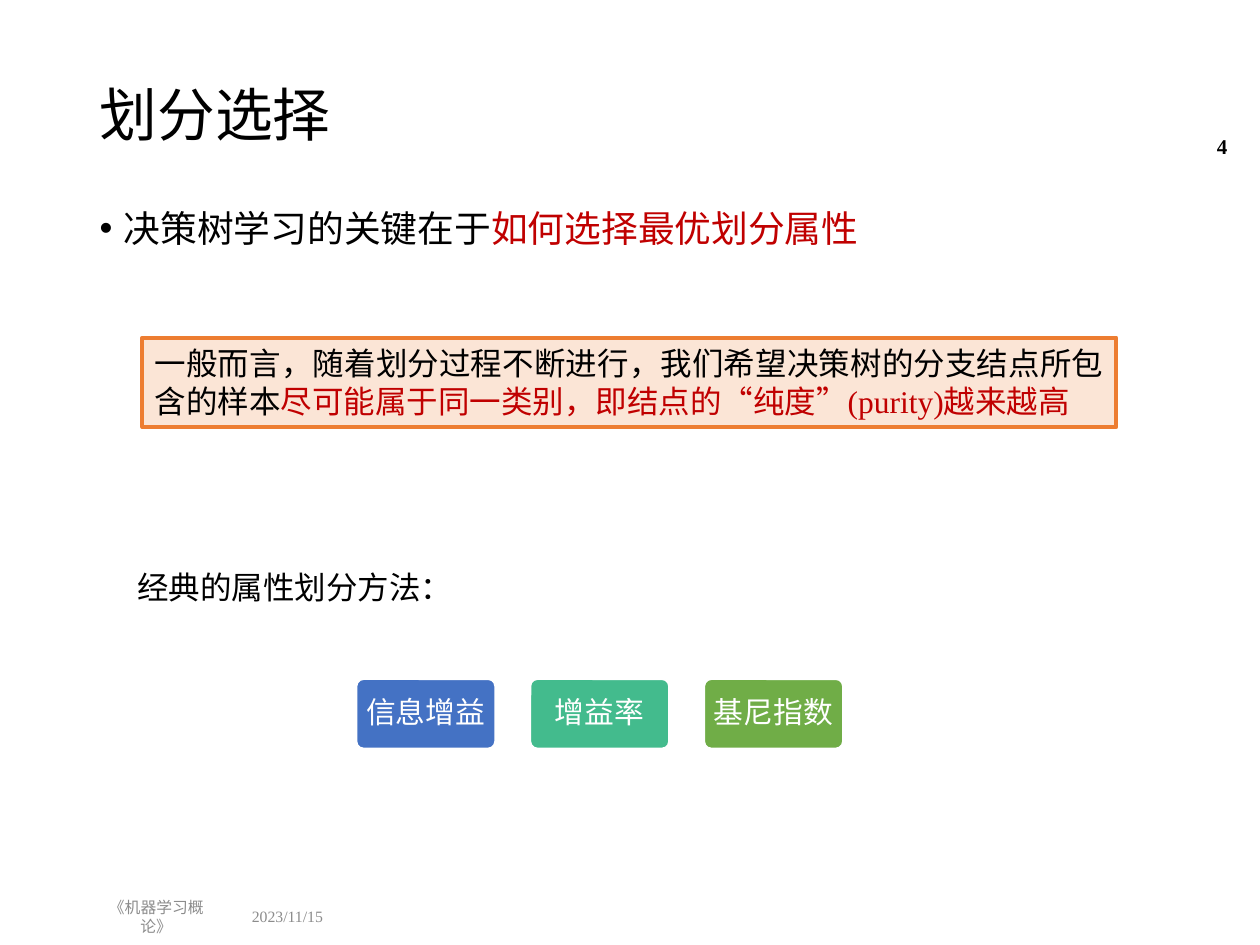
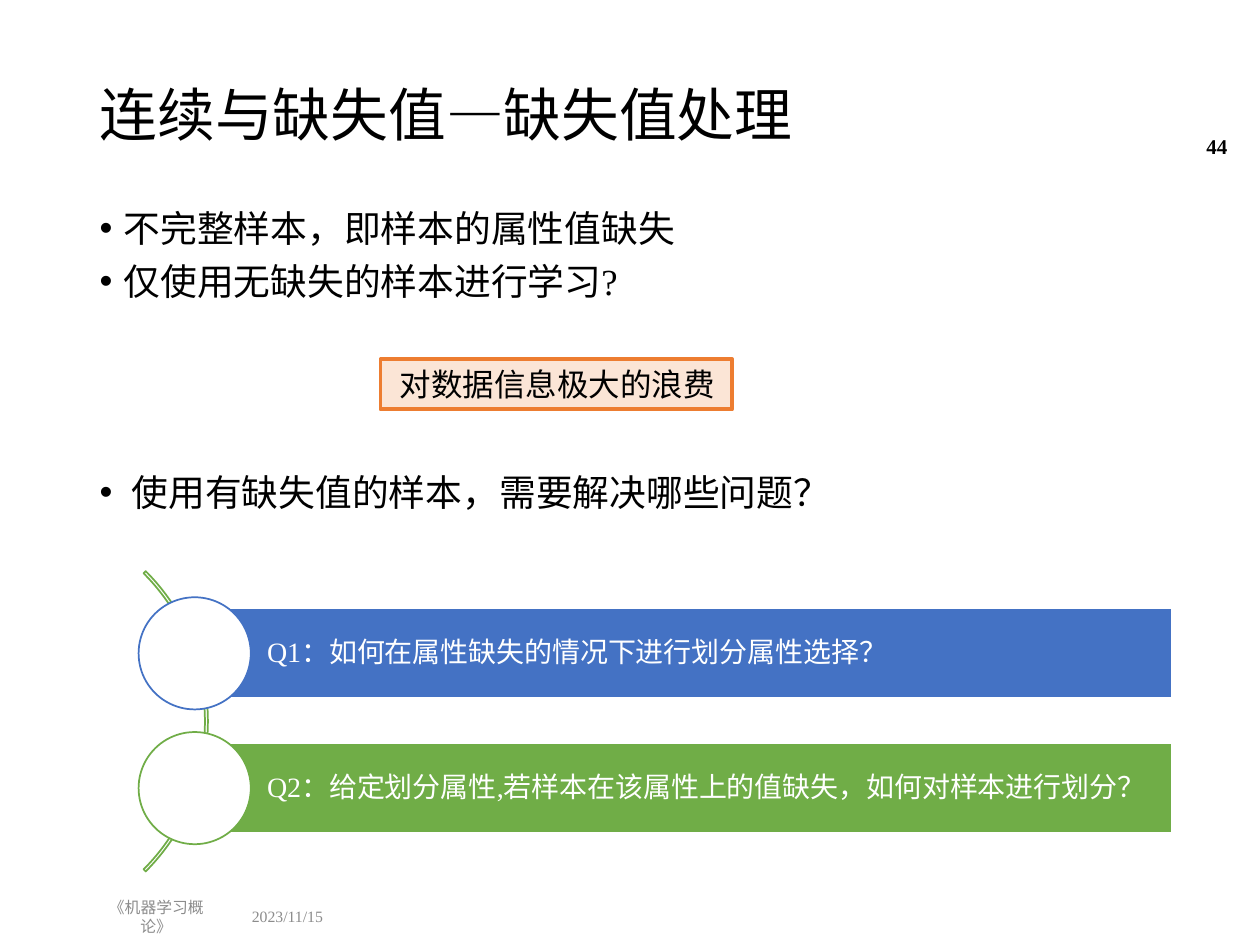
from pptx import Presentation
from pptx.dml.color import RGBColor
from pptx.enum.shapes import MSO_SHAPE
from pptx.enum.text import MSO_ANCHOR, MSO_AUTO_SIZE, PP_ALIGN
from pptx.util import Pt

# Shared look
PX = 9144  # EMU per px, 100 px to the inch
FONT = "Times New Roman"
BLACK, WHITE, GREY, RED = "000000", "FFFFFF", "8C8C8C", "C00000"
BLUE, TEAL, GREEN = "4472C4", "43BB8D", "70AD47"
PEACH, ORANGE = "FBE5D6", "ED7D31"


def rgb(color):
    return RGBColor.from_string(color)


def px(*lengths):
    return [length * PX for length in lengths]


def write(paragraph, runs, size, color=BLACK, bold=False, align=PP_ALIGN.LEFT):
    """Fill a paragraph from a string or a list of (text, colour) pairs."""
    paragraph.alignment = align
    font = paragraph.font
    font.name, font.size, font.bold = FONT, Pt(size), bold
    if isinstance(runs, str):
        font.color.rgb = rgb(color)
        paragraph.add_run().text = runs
        return
    for text, run_color in runs:
        run = paragraph.add_run()
        run.text = text
        run.font.color.rgb = rgb(run_color)


def set_frame(shape, anchor, wrap=True, insets=(10, 5, 10, 5)):
    frame = shape.text_frame
    frame.auto_size = MSO_AUTO_SIZE.NONE
    frame.word_wrap = wrap
    frame.vertical_anchor = anchor
    (frame.margin_left, frame.margin_top,
     frame.margin_right, frame.margin_bottom) = px(*insets)
    return frame.paragraphs[0]


def place(shape, left, top, width, height):
    shape.left, shape.top, shape.width, shape.height = px(left, top, width, height)


def add_label(slide, box, text, size, color=BLACK, bold=False,
              align=PP_ALIGN.LEFT, anchor=MSO_ANCHOR.MIDDLE, wrap=True):
    label = slide.shapes.add_textbox(*px(*box))
    write(set_frame(label, anchor, wrap), text, size, color, bold, align)


def add_figure(slide, kind, box, fill, line, weight=1, adjustments=()):
    figure = slide.shapes.add_shape(kind, *px(*box))
    figure.shadow.inherit = False
    for index, value in enumerate(adjustments):
        figure.adjustments[index] = value
    if fill:
        figure.fill.solid()
        figure.fill.fore_color.rgb = rgb(fill)
    else:
        figure.fill.background()
    figure.line.color.rgb = rgb(line)
    figure.line.width = Pt(weight)
    return figure


def add_callout(slide, box, runs, align=PP_ALIGN.LEFT, wrap=True):
    callout = add_figure(slide, MSO_SHAPE.RECTANGLE, box, PEACH, ORANGE, 2.25)
    write(set_frame(callout, MSO_ANCHOR.TOP, wrap), runs, 18, align=align)


def add_method(slide, left, name, color):
    method = add_figure(slide, MSO_SHAPE.ROUNDED_RECTANGLE, (left, 539, 110, 55),
                        color, WHITE, adjustments=[0.1])
    paragraph = set_frame(method, MSO_ANCHOR.MIDDLE, insets=(4, 2, 4, 2))
    paragraph.line_spacing = 0.9
    write(paragraph, name, 17, WHITE, align=PP_ALIGN.CENTER)


def add_question(slide, top, question, color):
    bar = add_figure(slide, MSO_SHAPE.RECTANGLE, (155, top, 775, 71), color, WHITE)
    paragraph = set_frame(bar, MSO_ANCHOR.MIDDLE, insets=(57, 4, 4, 4))
    paragraph.line_spacing = 0.9
    write(paragraph, question, 16, WHITE)
    add_figure(slide, MSO_SHAPE.OVAL, (110, top - 9, 89, 89), WHITE, color)


def add_slide(deck, number, title, bullets):
    """Start a slide; bullets are (runs, space before in points)."""
    slide = deck.slides.add_slide(deck.slide_layouts[1])
    heading, body = slide.placeholders
    place(heading, 69, 40, 862, 107)
    paragraph = set_frame(heading, MSO_ANCHOR.MIDDLE)
    paragraph.line_spacing = 0.9
    write(paragraph, title, 33)

    place(body, 69, 162, 862, 539)
    paragraph = set_frame(body, MSO_ANCHOR.TOP)
    for index, (runs, space_before) in enumerate(bullets):
        if index:
            paragraph = body.text_frame.add_paragraph()
        properties = paragraph._p.get_or_add_pPr()
        properties.set("marL", str(19 * PX))
        properties.set("indent", str(-19 * PX))
        paragraph.line_spacing = 0.9
        paragraph.space_before = Pt(space_before)
        write(paragraph, runs, 21)

    # Footer and page number
    add_label(slide, (190, 713, 91, 29), "2023/11/15", 9, GREY)
    add_label(slide, (69, 713, 110, 29), "《机器学习概论》", 9, GREY,
              align=PP_ALIGN.CENTER)
    add_label(slide, (915, 96, 69, 40), number, 12, bold=True, align=PP_ALIGN.RIGHT)
    return slide


def build_split_selection(deck):
    slide = add_slide(deck, "4", "划分选择", [
        ([("决策树学习的关键在于", BLACK), ("如何选择最优划分属性", RED)], 0),
    ])
    add_callout(slide, (113, 268, 773, 71), [
        ("一般而言，随着划分过程不断进行，我们希望决策树的分支结点所包含的样本", BLACK),
        ("尽可能属于同一类别，即结点的“纯度”(purity)越来越高", RED),
    ], align=PP_ALIGN.JUSTIFY)
    add_label(slide, (99, 446, 273, 40), "经典的属性划分方法：", 18,
              anchor=MSO_ANCHOR.TOP, wrap=False)
    methods = [("信息增益", BLUE), ("增益率", TEAL), ("基尼指数", GREEN)]
    for index, (name, color) in enumerate(methods):
        add_method(slide, 283 + 138 * index, name, color)


def build_missing_values(deck):
    slide = add_slide(deck, "44", "连续与缺失值—缺失值处理", [
        ("不完整样本，即样本的属性值缺失", 0),
        ("仅使用无缺失的样本进行学习?", 7.5),
        (" 使用有缺失值的样本，需要解决哪些问题？", 98),
    ])
    add_callout(slide, (302, 285, 279, 40), " 对数据信息极大的浪费", wrap=False)
    # Arc behind the two questions
    add_figure(slide, MSO_SHAPE.BLOCK_ARC, (-172, 404, 337, 337), None, GREEN,
               adjustments=[189, 27, 0.007])
    questions = [
        ("Q1：如何在属性缺失的情况下进行划分属性选择？", BLUE),
        ("Q2：给定划分属性,若样本在该属性上的值缺失，如何对样本进行划分？", GREEN),
    ]
    for index, (question, color) in enumerate(questions):
        add_question(slide, 483 + 107 * index, question, color)


def main():
    deck = Presentation()
    deck.slide_width, deck.slide_height = px(1000, 750)
    build_split_selection(deck)
    build_missing_values(deck)
    deck.save("out.pptx")


if __name__ == "__main__":
    main()
